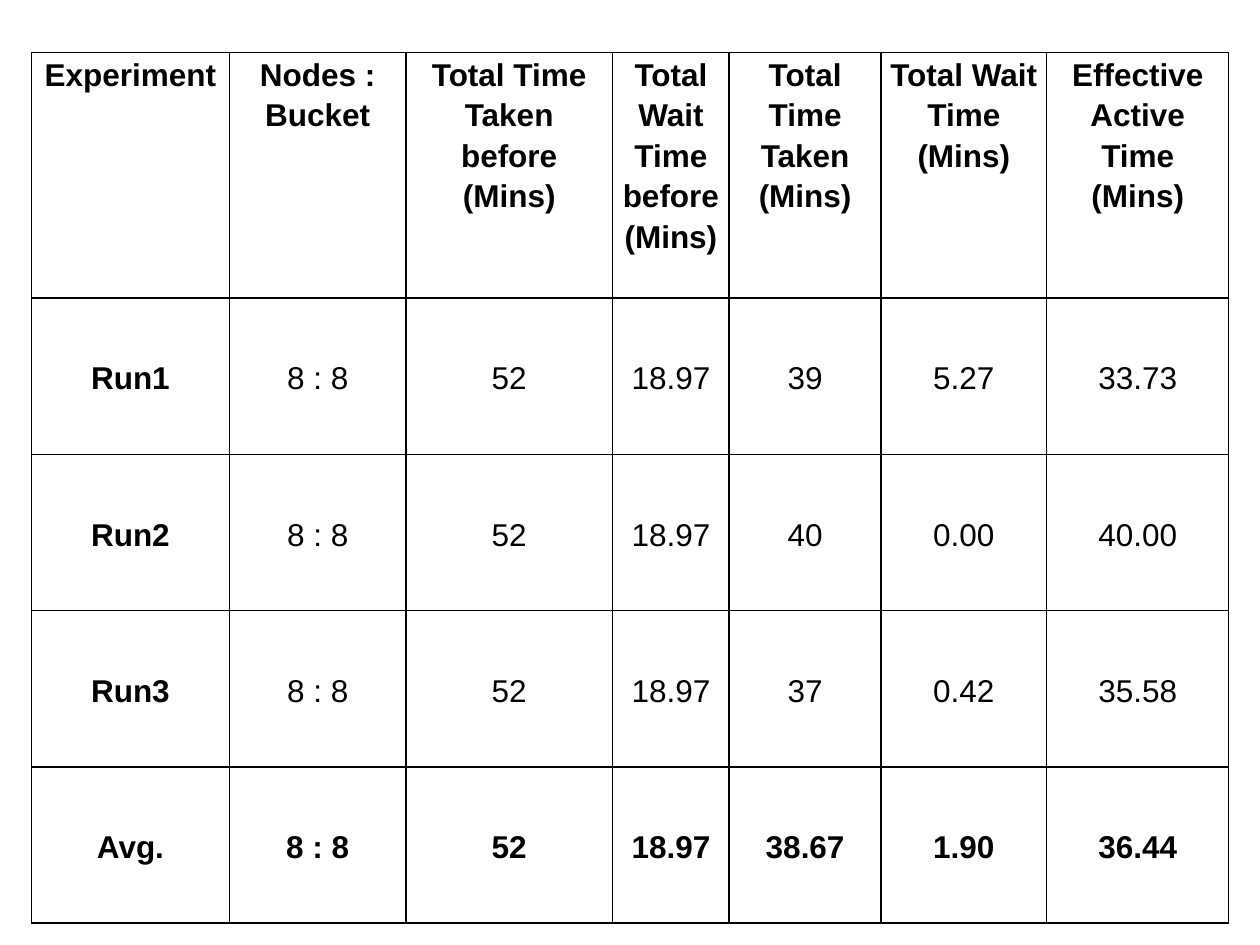
from lxml import etree
from pptx import Presentation
from pptx.dml.color import RGBColor
from pptx.enum.text import MSO_ANCHOR, PP_ALIGN
from pptx.oxml.ns import qn
from pptx.util import Cm, Pt

CENTER = PP_ALIGN.CENTER
TOP = MSO_ANCHOR.TOP
MIDDLE = MSO_ANCHOR.MIDDLE
BLACK = "000000"
WHITE = "FFFFFF"

COLUMN_WIDTHS = [4.0, 3.55, 4.17, 2.35, 3.06, 3.34, 3.67]
HEADER_SHARE = 4.95 / 17.55
HEADERS = [
    "Experiment",
    "Nodes : Bucket",
    "Total Time Taken before\n(Mins)",
    "Total Wait Time\nbefore\n(Mins)",
    "Total Time Taken\n(Mins)",
    "Total Wait Time\n(Mins)",
    "Effective Active Time (Mins)",
]
BEFORE = ["8 : 8", "52", "18.97"]
RESULTS = [
    ["Run1", *BEFORE, "39", "5.27", "33.73"],
    ["Run2", *BEFORE, "40", "0.00", "40.00"],
    ["Run3", *BEFORE, "37", "0.42", "35.58"],
    ["Avg.", *BEFORE, "38.67", "1.90", "36.44"],
]


def color(value):
    return RGBColor.from_string(value)


def write_text(text_frame, text, size=18, bold=False, font="Arial", fill=BLACK):
    text_frame.text = text
    for paragraph in text_frame.paragraphs:
        paragraph.alignment = CENTER
        paragraph.line_spacing = 1.15
        for run in paragraph.runs:
            run.font.name = font
            run.font.size = Pt(size)
            run.font.bold = bold
            run.font.color.rgb = color(fill)


def set_borders(cell, width=1, value=BLACK):
    properties = cell._tc.get_or_add_tcPr()
    for position, side in enumerate(("a:lnL", "a:lnR", "a:lnT", "a:lnB")):
        line = etree.Element(qn(side), w=str(Pt(width)))
        solid = etree.SubElement(line, qn("a:solidFill"))
        etree.SubElement(solid, qn("a:srgbClr"), val=value)
        properties.insert(position, line)


def format_cell(cell, text, bold, anchor):
    cell.margin_left = cell.margin_right = Cm(0.18)
    cell.margin_top = cell.margin_bottom = 0
    cell.vertical_anchor = anchor
    cell.fill.solid()
    cell.fill.fore_color.rgb = color(WHITE)
    set_borders(cell)
    write_text(cell.text_frame, text, bold=bold)


def add_results_table(slide, left, top, width, height):
    rows = [HEADERS, *RESULTS]
    frame = slide.shapes.add_table(
        len(rows), len(HEADERS), Cm(left), Cm(top), Cm(width), Cm(height)
    )
    table = frame.table
    table.first_row = table.horz_banding = False
    scale = width / sum(COLUMN_WIDTHS)
    for column, column_width in zip(table.columns, COLUMN_WIDTHS):
        column.width = Cm(column_width * scale)
    header_height = height * HEADER_SHARE
    result_height = (height - header_height) / len(RESULTS)
    for row_index, values in enumerate(rows):
        is_header = row_index == 0
        is_average = row_index == len(rows) - 1
        table.rows[row_index].height = Cm(header_height if is_header else result_height)
        for column_index, text in enumerate(values):
            format_cell(
                table.cell(row_index, column_index),
                text,
                bold=is_header or is_average or column_index == 0,
                anchor=TOP if is_header else MIDDLE,
            )


presentation = Presentation()
presentation.slide_width = Cm(25.4)
presentation.slide_height = Cm(19.05)
slide = presentation.slides.add_slide(presentation.slide_layouts[6])
add_results_table(slide, left=0.63, top=1.06, width=24.14, height=17.55)
presentation.save("out.pptx")
